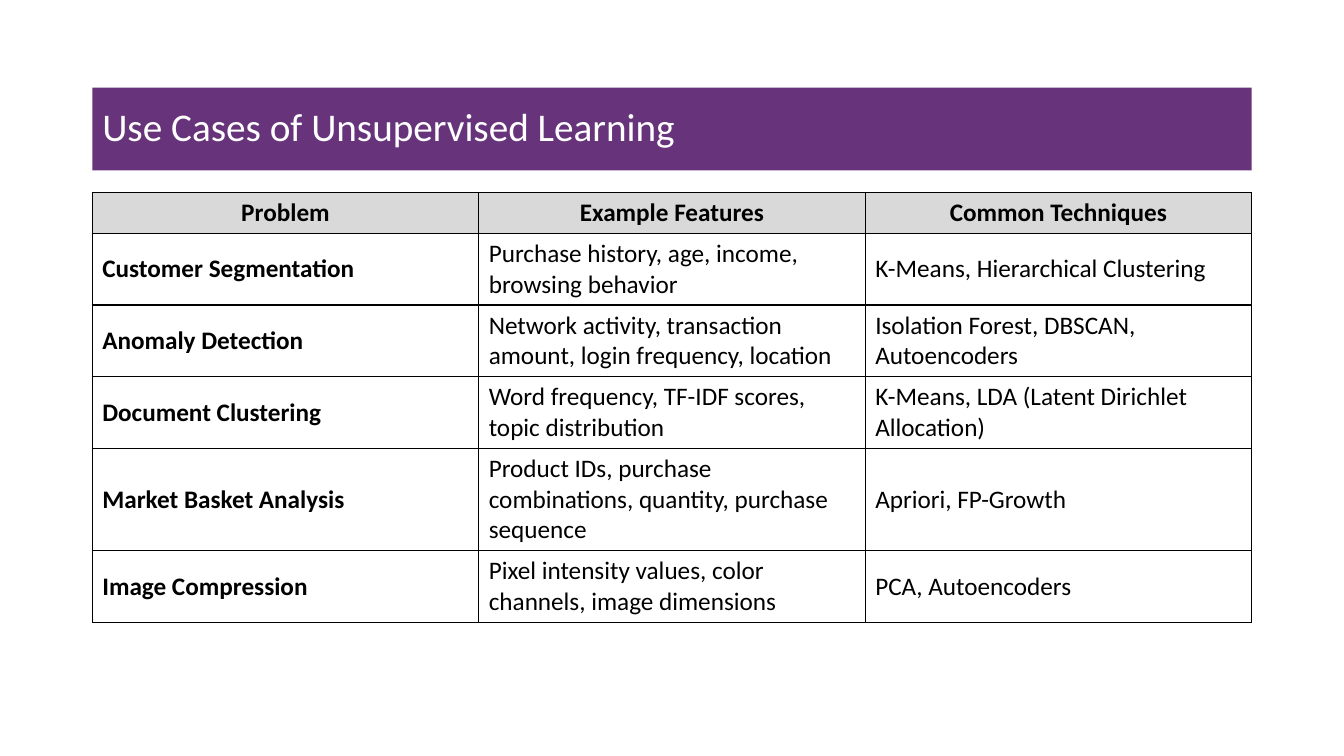
import pptx
import pptx.util
import pptx.dml.color
import pptx.enum.text
import pptx.oxml.ns
import lxml.etree

TITLE = "Use Cases of Unsupervised Learning"
HEADERS = ("Problem", "Example Features", "Common Techniques")
USE_CASES = [
    ("Customer Segmentation", "Purchase history, age, income, browsing behavior",
     "K-Means, Hierarchical Clustering"),
    ("Anomaly Detection", "Network activity, transaction amount, login frequency, location",
     "Isolation Forest, DBSCAN, Autoencoders"),
    ("Document Clustering", "Word frequency, TF-IDF scores, topic distribution",
     "K-Means, LDA (Latent Dirichlet Allocation)"),
    ("Market Basket Analysis", "Product IDs, purchase combinations, quantity, purchase sequence",
     "Apriori, FP-Growth"),
    ("Image Compression", "Pixel intensity values, color channels, image dimensions",
     "PCA, Autoencoders"),
]
LINES_PER_ROW = (1, 2, 2, 2, 3, 2)

PURPLE, GREY, BLACK, WHITE = "67337A", "D9D9D9", "000000", "FFFFFF"
FONT = "Calibri"
WIDTH, HEIGHT = 13.33, 7.5
CONTENT_WIDTH = 11.5
LEFT = (WIDTH - CONTENT_WIDTH) / 2
TITLE_TOP, TITLE_HEIGHT = 0.87, 0.82
TABLE_TOP = 1.91
LINE_HEIGHT, CELL_PADDING = 0.305, 0.1

inches = pptx.util.Inches
ALIGN = pptx.enum.text.PP_ALIGN
MIDDLE = pptx.enum.text.MSO_ANCHOR.MIDDLE


def color(hex_string):
    return pptx.dml.color.RGBColor.from_string(hex_string)


def paint(fill, hex_string):
    fill.solid()
    fill.fore_color.rgb = color(hex_string)


def format_paragraph(paragraph, size, hex_string, bold, align):
    paragraph.alignment = align
    font = paragraph.runs[0].font
    font.color.rgb = color(hex_string)
    for name, value in {"name": FONT, "size": pptx.util.Pt(size), "bold": bold}.items():
        setattr(font, name, value)


def add_borders(cell):
    qualified = pptx.oxml.ns.qn
    properties = cell._tc.get_or_add_tcPr()
    for side in ("a:lnL", "a:lnR", "a:lnT", "a:lnB"):
        line = lxml.etree.SubElement(properties, qualified(side), w=str(pptx.util.Pt(1)))
        fill = lxml.etree.SubElement(line, qualified("a:solidFill"))
        lxml.etree.SubElement(fill, qualified("a:srgbClr"), val=BLACK)


def add_title(slide):
    title = slide.shapes.title
    box = {"left": LEFT, "top": TITLE_TOP, "width": CONTENT_WIDTH, "height": TITLE_HEIGHT}
    for name, value in box.items():
        setattr(title, name, inches(value))
    paint(title.fill, PURPLE)
    frame = title.text_frame
    frame.text = TITLE
    frame.vertical_anchor = MIDDLE
    frame.auto_size = pptx.enum.text.MSO_AUTO_SIZE.NONE
    frame.paragraphs[0].line_spacing = 0.9
    format_paragraph(frame.paragraphs[0], 28, WHITE, False, ALIGN.LEFT)


def add_use_case_table(slide):
    rows = [HEADERS, *USE_CASES]
    heights = [lines * LINE_HEIGHT + CELL_PADDING for lines in LINES_PER_ROW]
    table = slide.shapes.add_table(
        len(rows), len(HEADERS), inches(LEFT), inches(TABLE_TOP),
        inches(CONTENT_WIDTH), inches(sum(heights))).table
    table.horz_banding = False
    for row_index, (texts, height) in enumerate(zip(rows, heights)):
        table.rows[row_index].height = inches(height)
        is_header = row_index == 0
        for column_index, text in enumerate(texts):
            cell = table.cell(row_index, column_index)
            cell.text = text
            cell.vertical_anchor = MIDDLE
            add_borders(cell)
            if is_header:
                paint(cell.fill, GREY)
            else:
                cell.fill.background()
            format_paragraph(cell.text_frame.paragraphs[0], 18, BLACK,
                             is_header or column_index == 0,
                             ALIGN.CENTER if is_header else ALIGN.LEFT)


def main():
    presentation = pptx.Presentation()
    presentation.slide_width = inches(WIDTH)
    presentation.slide_height = inches(HEIGHT)
    slide = presentation.slides.add_slide(presentation.slide_layouts.get_by_name("Title Only"))
    add_title(slide)
    add_use_case_table(slide)
    presentation.save("out.pptx")


if __name__ == "__main__":
    main()
